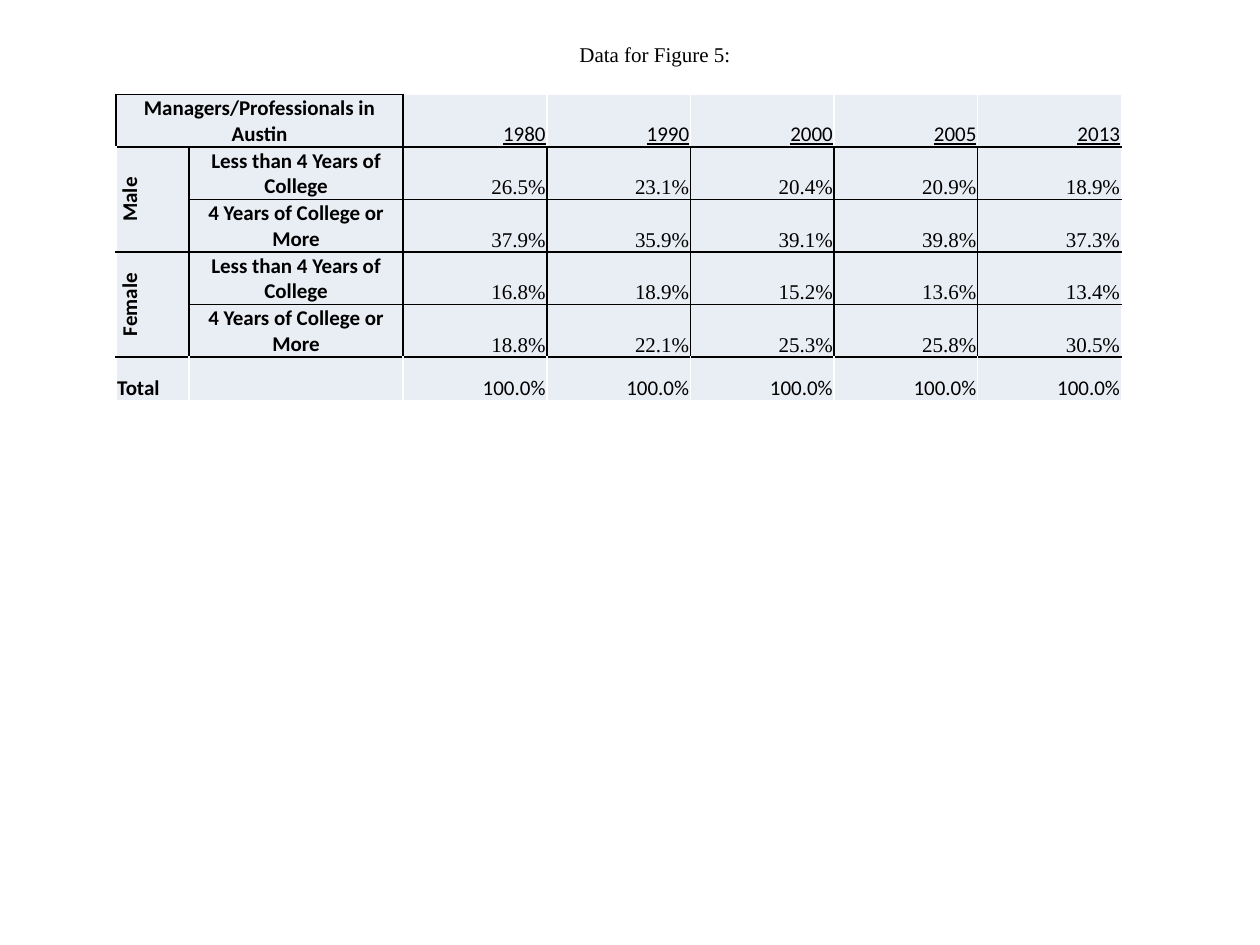
import pptx
import pptx.dml.color
import pptx.enum.text
import pptx.util
from lxml import etree
from pptx.oxml.ns import qn

Inches, Pt = pptx.util.Inches, pptx.util.Pt
ALIGN, ANCHOR = pptx.enum.text.PP_ALIGN, pptx.enum.text.MSO_ANCHOR

# Content
CAPTION = "Data for Figure 5:"
HEADING = "Managers/Professionals in Austin"
LOW, HIGH = "Less than 4 Years of College", "4 Years of College or More"
ROWS = [
    (HEADING, "", "1980", "1990", "2000", "2005", "2013"),
    ("Male", LOW, "26.5%", "23.1%", "20.4%", "20.9%", "18.9%"),
    ("", HIGH, "37.9%", "35.9%", "39.1%", "39.8%", "37.3%"),
    ("Female", LOW, "16.8%", "18.9%", "15.2%", "13.6%", "13.4%"),
    ("", HIGH, "18.8%", "22.1%", "25.3%", "25.8%", "30.5%"),
    ("Total", "") + ("100.0%",) * 5,
]
MERGES = [((0, 0), (0, 1)), ((1, 0), (2, 0)), ((3, 0), (4, 0))]
WIDTHS = [0.58, 1.7] + [1.14] * 5
ROW_HEIGHT = 0.35
LAST_ROW, LAST_COL = len(ROWS) - 1, len(WIDTHS) - 1
BLACK, WHITE, PALE = "000000", "FFFFFF", "E9EDF4"


def colour(value):
    return pptx.dml.color.RGBColor.from_string(value)


def style(paragraph, font_name, bold=False, underline=False):
    for run in paragraph.runs:
        run.font.name, run.font.size = font_name, Pt(12)
        run.font.bold, run.font.underline = bold, underline
        run.font.color.rgb = colour(BLACK)


def edge_colours(row, col):
    """White on the outside and between plain header or total cells."""
    header, total = row == 0, row == LAST_ROW
    white = {
        "lnL": total or (col == 0 and not header) or (header and col > 2),
        "lnR": total or col == LAST_COL or (header and col >= 2),
        "lnT": header and col >= 2,
        "lnB": total,
    }
    return {side: WHITE if is_white else BLACK for side, is_white in white.items()}


def add_borders(cell, row, col):
    properties = cell._tc.get_or_add_tcPr()
    for side, value in edge_colours(row, col).items():
        line = etree.SubElement(properties, qn("a:" + side), w=str(Pt(1)))
        fill = etree.SubElement(line, qn("a:solidFill"))
        etree.SubElement(fill, qn("a:srgbClr"), val=value)


def fill_cell(cell, row, col, text):
    add_borders(cell, row, col)
    cell.fill.solid()
    cell.fill.fore_color.rgb = colour(PALE)
    cell.margin_left = cell.margin_right = cell.margin_top = Inches(0.01)
    cell.margin_bottom = 0
    header, total, label = row == 0, row == LAST_ROW, col < 2
    cell.vertical_anchor = ANCHOR.MIDDLE if label and not total else ANCHOR.BOTTOM
    if not text:
        return
    cell.text_frame.text = text
    paragraph = cell.text_frame.paragraphs[0]
    if not label:
        paragraph.alignment = ALIGN.RIGHT
    else:
        paragraph.alignment = ALIGN.LEFT if total else ALIGN.CENTER
    calibri = label or header or total
    style(paragraph, "Calibri" if calibri else "Times New Roman",
          bold=label, underline=header and not label)


deck = pptx.Presentation()
deck.slide_width, deck.slide_height = Inches(10), Inches(7.5)
slide = deck.slides.add_slide(deck.slide_layouts[6])

# Table
shares = slide.shapes.add_table(
    len(ROWS), len(WIDTHS), Inches(0.92), Inches(0.75),
    Inches(sum(WIDTHS)), Inches(ROW_HEIGHT * len(ROWS))).table
for column, width in zip(shares.columns, WIDTHS):
    column.width = Inches(width)
for row, texts in enumerate(ROWS):
    for col, text in enumerate(texts):
        fill_cell(shares.cell(row, col), row, col, text)
for first, last in MERGES:
    shares.cell(*first).merge(shares.cell(*last))

# Sideways group labels
for row in (1, 3):
    shares.cell(row, 0)._tc.get_or_add_tcPr().set("vert", "vert270")

# Caption
caption = slide.shapes.add_textbox(
    Inches(4.5), Inches(0.28), Inches(1.58), Inches(0.3)).text_frame
caption.word_wrap = True
caption.auto_size = pptx.enum.text.MSO_AUTO_SIZE.SHAPE_TO_FIT_TEXT
caption.text = CAPTION
style(caption.paragraphs[0], "Times New Roman")

deck.save("out.pptx")
